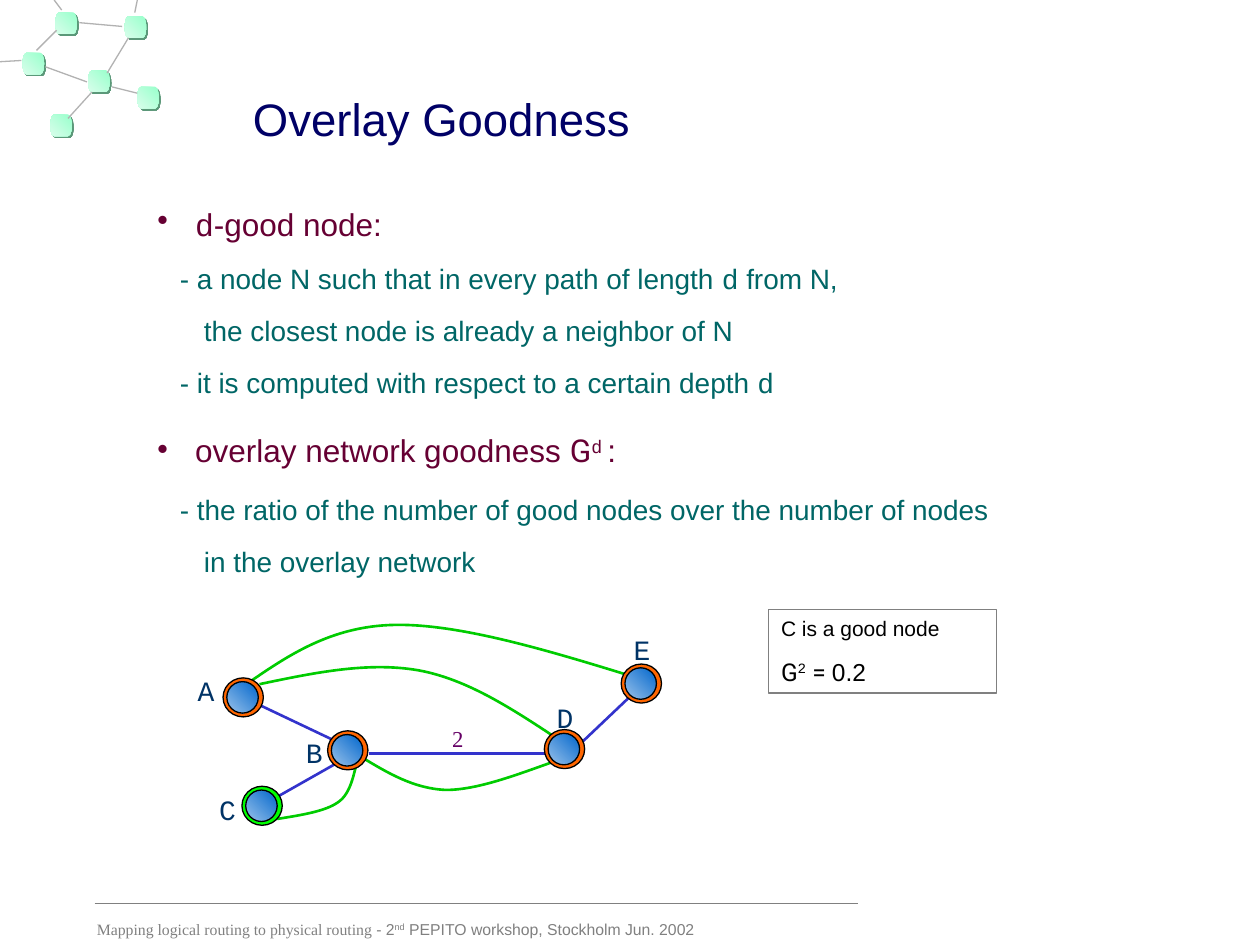
from lxml import etree
from pptx import Presentation
from pptx.dml.color import RGBColor
from pptx.enum import shapes, text
from pptx.oxml.ns import qn
from pptx.util import Inches, Pt

WHITE = RGBColor(0xFF, 0xFF, 0xFF)
BLACK = RGBColor(0, 0, 0)
NAVY = RGBColor(0, 0, 0x66)
WINE = RGBColor(0x66, 0, 0x33)
TEAL = RGBColor(0, 0x66, 0x66)
STEEL = RGBColor(0, 0x33, 0x66)
PLUM = RGBColor(0x66, 0, 0x66)
GRAY = RGBColor(0x80, 0x80, 0x80)
SILVER = RGBColor(0xB2, 0xB2, 0xB2)
GREEN = RGBColor(0, 0xCC, 0)
BLUE = RGBColor(0x33, 0x33, 0xCC)
ORANGE = RGBColor(0xFF, 0x66, 0)
LIME = RGBColor(0, 0xFF, 0)
MINT = (RGBColor(0x99, 0xFF, 0xCC), RGBColor(0xD8, 0xFE, 0xEB))
CORE = (RGBColor(0, 0x66, 0xCC), RGBColor(0x9A, 0xC2, 0xEA))
SHADE = "5B9879"

SANS, MONO, ROBO, SERIF = "Arial", "Courier New", "Roboto", "Times New Roman"

BODY = [
    ([("d", MONO, 0), ("-good node:", SANS, 0)], 18, WINE, 0, 0.3, True),
    ([("- a node N such that in every path of length ", SANS, 0), ("d", MONO, 0),
      (" from N,", SANS, 0)], 16, TEAL, 10.5, 0.18, False),
    ([("the closest node is already a neighbor of N", SANS, 0)], 16, TEAL, 10.5, 0.37, False),
    ([("- it is computed with respect to a certain depth ", SANS, 0), ("d", MONO, 0)],
     16, TEAL, 10.5, 0.18, False),
    ([("overlay network goodness ", SANS, 0), ("G", ROBO, 0), ("d", MONO, 30),
      (" ", SANS, -25), (":", SANS, 0)], 18, WINE, 18.5, 0.3, True),
    ([("- the ratio of the number of good nodes over the number of nodes", SANS, 0)],
     16, TEAL, 10.5, 0.18, False),
    ([("in the overlay network", SANS, 0)], 16, TEAL, 10.5, 0.37, False),
]
TITLE = [([("Overlay Goodness", SANS, 0)], 26, NAVY, 0, 0, False)]
COST = [([("2", SERIF, 0)], 13, PLUM, 0, 0, False)]
RESULT = [
    ([("C is a good node", SANS, 0)], 12, BLACK, 0, 0, False),
    ([("G", ROBO, 0), ("2", MONO, 30), (" = ", ROBO, 0), ("0.2", SANS, 0)],
     14, BLACK, 8.8, 0, False),
]
FOOT = [([("Mapping logical routing to physical routing", SERIF, 0), (" - 2", SANS, 0),
          ("nd", SANS, 30), (" PEPITO workshop, Stockholm Jun. 2002", SANS, 0)],
         9, GRAY, 0, 0, False)]

NODES = [
    ("A", (1.77, 5.38), (1.47, 5.3), ORANGE),
    ("B", (2.6, 5.8), (2.33, 5.79), ORANGE),
    ("C", (1.92, 6.24), (1.64, 6.24), LIME),
    ("D", (4.32, 5.79), (4.32, 5.51), ORANGE),
    ("E", (4.93, 5.27), (4.93, 4.97), ORANGE),
]
EDGES = [
    (2.19, 6.33, 2.72, 6.03), (2.07, 5.6, 2.68, 5.89),
    (2.93, 5.98, 4.39, 5.98), (4.62, 5.89, 5.02, 5.51),
]
CURVES = [
    [(2.87, 6.01), (3.07, 6.13), (3.28, 6.26), (3.54, 6.27),
     (3.79, 6.27), (4.1, 6.15), (4.41, 6.04)],
    [(2.2, 6.5), (2.39, 6.47), (2.58, 6.44), (2.68, 6.37),
     (2.79, 6.3), (2.81, 6.12), (2.83, 6.07)],
    [(1.97, 5.42), (2.29, 5.2), (2.63, 4.97), (3.13, 4.96),
     (3.63, 4.95), (4.31, 5.15), (4.99, 5.36)],
    [(2.06, 5.43), (2.49, 5.34), (2.92, 5.25), (3.32, 5.32),
     (3.71, 5.39), (4.07, 5.63), (4.42, 5.86)],
]
DRUMS = [(0.18, 0.42), (0.7, 0.56), (0.99, 0.13), (0.44, 0.1), (1.09, 0.69), (0.4, 0.91)]
LINKS = [
    (0.36, 0.53, 0.69, 0.65), (0.54, 0.94, 0.73, 0.73), (0.85, 0.58, 1.02, 0.3),
    (0.89, 0.69, 1.09, 0.74), (0.17, 0.48, 0, 0.49), (0.63, 0.18, 0.97, 0.21),
    (0.29, 0.4, 0.45, 0.24), (1.07, 0.1, 1.09, 0), (0.49, 0.08, 0.43, 0),
]

deck = Presentation()
deck.slide_width, deck.slide_height = Inches(10), Inches(7.5)
slide = deck.slides.add_slide(deck.slide_layouts[6])
slide.background.fill.solid()
slide.background.fill.fore_color.rgb = WHITE
tree = slide.shapes


def write(shape, paras):
    frame = shape.text_frame
    frame.word_wrap = True
    frame.vertical_anchor = text.MSO_ANCHOR.TOP
    for i, (runs, size, color, gap, left, dot) in enumerate(paras):
        para = frame.add_paragraph() if i else frame.paragraphs[0]
        para.alignment = text.PP_ALIGN.LEFT
        para.space_before = Pt(gap)
        props = para._p.get_or_add_pPr()
        props.set("marL", str(Inches(left)))
        props.set("indent", str(-Inches(left) if dot else 0))
        if dot:
            etree.SubElement(props, qn("a:buChar")).set("char", "•")
        else:
            etree.SubElement(props, qn("a:buNone"))
        para.font.size = Pt(size)
        para.font.color.rgb = color
        faces = {face for _, face, _ in runs}
        if len(faces) == 1:
            para.font.name = runs[0][1]
        for words, face, base in runs:
            run = para.add_run()
            run.text = words
            if len(faces) > 1:
                run.font.name = face
            if base:
                run._r.get_or_add_rPr().set("baseline", str(base * 1000))


def label(x, y, w, h, paras):
    write(tree.add_textbox(*map(Inches, (x, y, w, h))), paras)


def stroke(shape, color, width):
    shape.line.color.rgb = color
    shape.line.width = Pt(width)


def link(ends, color, width):
    line = tree.add_connector(shapes.MSO_CONNECTOR.STRAIGHT, *map(Inches, ends))
    stroke(line, color, width)
    etree.SubElement(line._element.spPr, qn("a:effectLst"))


def form(kind, x, y, w, h):
    shape = tree.add_shape(kind, *map(Inches, (x, y, w, h)))
    shape.shadow.inherit = False
    return shape


def blend(shape, pair):
    shape.fill.gradient()
    shape.fill.gradient_angle = 225
    for stop, color in zip(shape.fill.gradient_stops, pair):
        stop.color.rgb = color


def curve(points):
    first, *rest = [tuple(map(Inches, p)) for p in points]
    pen = tree.build_freeform(*first)
    pen.add_line_segments(rest, close=False)
    shape = pen.convert_to_shape()
    shape.shadow.inherit = False
    shape.fill.background()
    stroke(shape, GREEN, 1.5)
    track = shape._element.find(".//" + qn("a:path"))
    lines = track.findall(qn("a:lnTo"))
    for i in range(0, len(lines), 3):
        bend = etree.SubElement(track, qn("a:cubicBezTo"))
        for line in lines[i:i + 3]:
            bend.append(line[0])
            track.remove(line)


def drum(x, y):
    shape = form(shapes.MSO_SHAPE.FLOWCHART_DIRECT_ACCESS_STORAGE, x, y, 0.17, 0.17)
    blend(shape, MINT)
    shape.line.fill.background()
    effects = shape._element.spPr.find(qn("a:effectLst"))
    shade = etree.SubElement(effects, qn("a:outerShdw"), dist=str(Pt(1.4)),
                             dir="2700000", algn="ctr", rotWithShape="0")
    etree.SubElement(shade, qn("a:srgbClr"), val=SHADE)


for points in CURVES:
    curve(points)
label(1.15, 1.58, 8.33, 3.02, BODY)
for spot in DRUMS:
    drum(*spot)
for ends in LINKS:
    link(ends, SILVER, 0.75)
link((0.75, 7.17, 6.81, 7.17), GRAY, 0.75)
label(1.91, 0.67, 6.53, 0.54, TITLE)
for ends in EDGES:
    link(ends, BLUE, 1.5)
for name, (x, y), spot, color in NODES:
    label(*spot, 0.38, 0.37, [([(name, MONO, 0)], 16, STEEL, 0, 0, False)])
    ring = form(shapes.MSO_SHAPE.OVAL, x, y, 0.32, 0.31)
    ring.fill.solid()
    ring.fill.fore_color.rgb = color
    core = form(shapes.MSO_SHAPE.OVAL, x + 0.03, y + 0.03, 0.25, 0.25)
    blend(core, CORE)
    for disc in (ring, core):
        stroke(disc, BLACK, 0.75)
label(3.49, 5.7, 0.42, 0.32, COST)
card = form(shapes.MSO_SHAPE.RECTANGLE, 6.1, 4.84, 1.81, 0.66)
card.fill.background()
stroke(card, GRAY, 0.75)
write(card, RESULT)
label(0.67, 7.25, 5.9, 0.25, FOOT)

deck.save("out.pptx")
